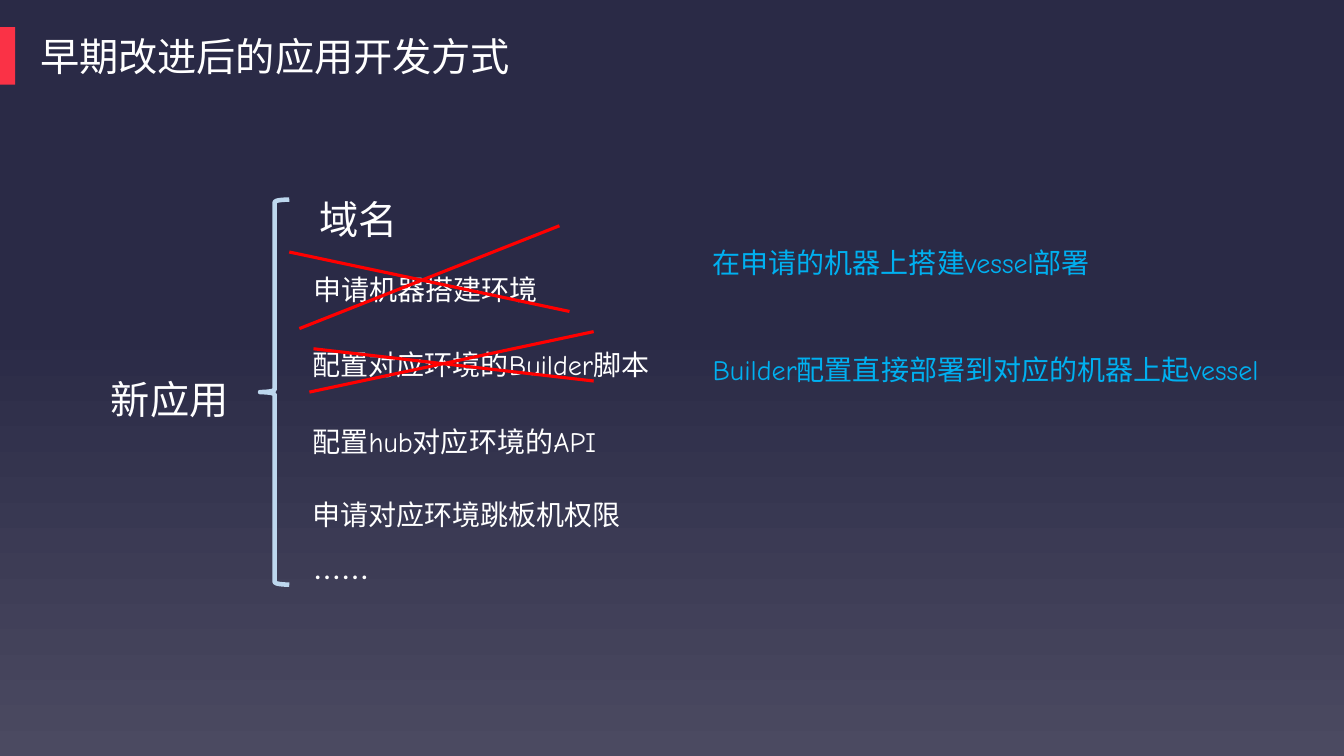
from dataclasses import dataclass
from itertools import groupby

from pptx import Presentation
from pptx.dml.color import RGBColor as RGB
from pptx.enum.shapes import MSO_CONNECTOR as Link, MSO_SHAPE as Kind
from pptx.enum.text import MSO_AUTO_SIZE as Fit
from pptx.oxml.ns import qn
from pptx.util import Inches, Pt

COLS, ROWS = 160, 90
WIDE, HIGH = Inches(13.33), Inches(7.5)


@dataclass(frozen=True)
class Theme:
    """Colours, type sizes and fonts of the slide."""
    top: str = "2A2A46"
    base: str = "4B4A61"
    mark: str = "FA3246"
    ink: str = "FFFFFF"
    brace: str = "BDD7EE"
    cross: str = "FF0000"
    reply: str = "00B0F0"
    big: int = 28
    body: int = 20
    han: str = "Noto Sans CJK SC"
    latin: str = "Comic Neue"


@dataclass(frozen=True)
class Box:
    """A region of the slide in grid columns and rows."""
    x: float
    y: float
    w: float
    h: float

    def spot(self, x, y):
        """Turn a point inside the box into slide lengths."""
        return (int((self.x + x) * WIDE / COLS), int((self.y + y) * HIGH / ROWS))

    def area(self, x, y, w, h):
        """Turn an area inside the box into slide lengths."""
        return (*self.spot(x, y), int(w * WIDE / COLS), int(h * HIGH / ROWS))


THEME = Theme()


def add_text(slide, area, text, size, color, inset=0, space=1.3, wrap=True):
    """Write one line of text, with a font for each script."""
    frame = slide.shapes.add_textbox(*area).text_frame
    frame.word_wrap = wrap
    if not wrap:
        frame.auto_size = Fit.SHAPE_TO_FIT_TEXT
    frame.margin_left = frame.margin_right = Inches(inset)
    frame.margin_top = frame.margin_bottom = Inches(inset / 2)
    para = frame.paragraphs[0]
    para.line_spacing = space
    for plain, chars in groupby(text, str.isascii):
        run = para.add_run()
        run.text = "".join(chars)
        font = run.font
        font.size, font.color.rgb = Pt(size), RGB.from_string(color)
        font.name = THEME.latin if plain else THEME.han
        props = run._r.get_or_add_rPr()
        east = props.makeelement(qn("a:ea"), {"typeface": font.name})
        props.find(qn("a:latin")).addnext(east)


def add_line(slide, start, end):
    """Draw one red stroke."""
    line = slide.shapes.add_connector(Link.STRAIGHT, *start, *end)
    line.line.color.rgb = RGB.from_string(THEME.cross)
    line.line.width = Pt(2.25)
    props = line._element.spPr
    props.append(props.makeelement(qn("a:effectLst"), {}))


def paint(slide):
    """Fill the background with a vertical gradient."""
    fill = slide.background.fill
    fill.gradient()
    fill.gradient_angle = 270
    tones = ((0.43, THEME.top), (1, THEME.base))
    for stop, (place, color) in zip(fill.gradient_stops, tones):
        stop.position, stop.color.rgb = place, RGB.from_string(color)


def add_title(slide, box, text):
    """Place the title and the red mark at its left."""
    add_text(slide, box.area(3.6, 0, box.w - 3.6, box.h), text,
             THEME.big, THEME.ink, inset=0.1, space=1, wrap=False)
    mark = slide.shapes.add_shape(Kind.RECTANGLE, *box.area(0, 0, 1.8, box.h))
    mark.shadow.inherit = False
    mark.fill.solid()
    mark.fill.fore_color.rgb = RGB.from_string(THEME.mark)
    mark.line.fill.background()


def add_tree(slide, box, root, items):
    """Place the root label, the brace and the list of steps."""
    add_text(slide, box.area(0, 21.4, 17, 5.6), root, THEME.big, THEME.ink)
    brace = slide.shapes.add_shape(Kind.LEFT_BRACE, *box.area(17.76, 2.16, 3.48, 45.84))
    brace.shadow.inherit = False
    brace.fill.background()
    brace.line.color.rgb = RGB.from_string(THEME.brace)
    brace.line.width = Pt(3.25)
    for x, y, size, text in items:
        add_text(slide, box.area(x, y, box.w - x, 5.6), text, size, THEME.ink)


def add_crosses(slide, box, strokes):
    """Strike out the steps no longer needed."""
    for start, end in strokes:
        add_line(slide, box.spot(*start), box.spot(*end))


def add_replies(slide, box, texts):
    """Place the new ways beside the steps struck out."""
    for row, text in enumerate(texts):
        add_text(slide, box.area(0, row * 12.72, box.w, 5.6), text,
                 THEME.body, THEME.reply)


def main():
    """Build and save the slide."""
    deck = Presentation()
    deck.slide_width, deck.slide_height = WIDE, HIGH
    slide = deck.slides.add_slide(deck.slide_layouts[6])
    paint(slide)
    add_title(slide, Box(0, 3.24, 62.5, 6.84), "早期改进后的应用开发方式")
    tree = Box(13.2, 21.6, 70, 50)
    add_tree(slide, tree, "新应用", (
        (24.84, 0, THEME.big, "域名"),
        (24.1, 9.6, THEME.body, "申请机器搭建环境"),
        (24, 18.6, THEME.body, "配置对应环境的Builder脚本"),
        (24, 27.7, THEME.body, "配置hub对应环境的API"),
        (24, 36.4, THEME.body, "申请对应环境跳板机权限"),
        (24.1, 43.9, THEME.body, "……"),
    ))
    add_replies(slide, Box(84.84, 28.08, 73, 18.3), (
        "在申请的机器上搭建vessel部署",
        "Builder配置直接部署到对应的机器上起vessel",
    ))
    add_crosses(slide, tree, (
        ((54.6, 15.48), (21.24, 8.4)),
        ((53.4, 5.28), (22.44, 17.52)),
        ((57.48, 23.76), (24.12, 19.92)),
        ((57.48, 17.88), (23.64, 25.08)),
    ))
    deck.save("out.pptx")


if __name__ == "__main__":
    main()
